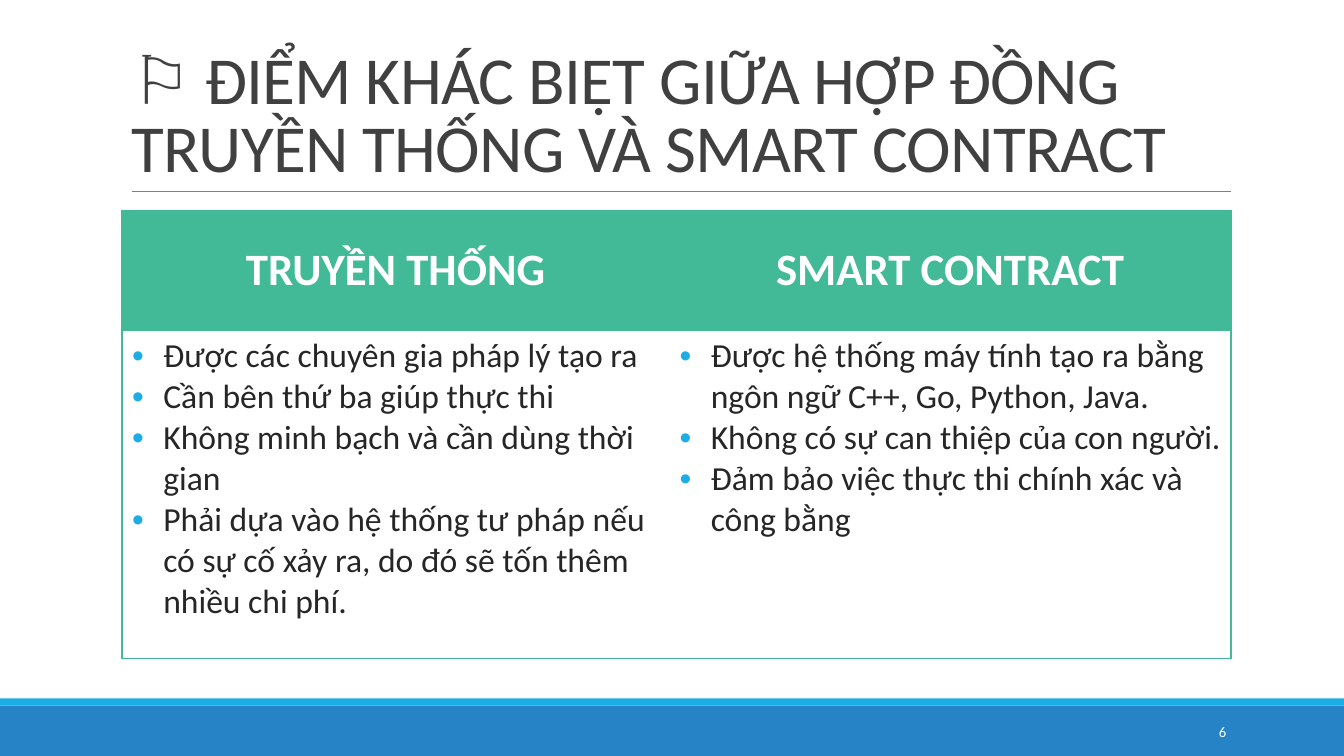
from lxml.etree import SubElement
from pptx import Presentation
from pptx.dml.color import RGBColor
from pptx.enum.shapes import MSO_CONNECTOR, MSO_SHAPE
from pptx.enum.text import MSO_ANCHOR, PP_ALIGN
from pptx.oxml.ns import qn
from pptx.util import Inches, Pt

GREEN = "42BA97"
COLUMNS = [
    ("TRUYỀN THỐNG", 5.43, [
        "Được các chuyên gia pháp lý tạo ra",
        "Cần bên thứ ba giúp thực thi",
        "Không minh bạch và cần dùng thời gian",
        "Phải dựa vào hệ thống tư pháp nếu có sự cố xảy ra, "
        "do đó sẽ tốn thêm nhiều chi phí.",
    ]),
    ("SMART CONTRACT", 5.57, [
        "Được hệ thống máy tính tạo ra bằng ngôn ngữ C++, Go, Python, Java.",
        "Không có sự can thiệp của con người.",
        "Đảm bảo việc thực thi chính xác và công bằng",
    ]),
]


def rgb(value):
    return RGBColor.from_string(value)


def style(p, size, color, bold=False):
    for r in p.runs:
        r.font.name = "Calibri"
        r.font.size = Pt(size)
        r.font.bold = bold
        r.font.color.rgb = rgb(color)


prs = Presentation()
prs.slide_width, prs.slide_height = Inches(13.33), Inches(7.5)
s = prs.slides.add_slide(prs.slide_layouts[5])

# Footer bands and title rule
for top, height, color in [(7, 0.5, "2683C6"), (6.93, 0.07, "1CADE4")]:
    band = s.shapes.add_shape(MSO_SHAPE.RECTANGLE, 0, Inches(top),
                              prs.slide_width, Inches(height))
    band.shadow.inherit = False
    band.fill.solid()
    band.fill.fore_color.rgb = rgb(color)
    band.line.fill.background()

rule = s.shapes.add_connector(MSO_CONNECTOR.STRAIGHT, Inches(1.31), Inches(1.9),
                              Inches(12.21), Inches(1.9))
rule.line.color.rgb = rgb("808080")
rule.line.width = Pt(0.5)
SubElement(rule._element.spPr, qn("a:effectLst"))

# Title
title = s.shapes.title
title.left, title.top = Inches(1.2), Inches(0.31)
title.width, title.height = Inches(11), Inches(1.59)
tf = title.text_frame
tf.text = "⚐ ĐIỂM KHÁC BIỆT GIỮA HỢP ĐỒNG TRUYỀN THỐNG VÀ SMART CONTRACT"
tf.word_wrap = True
tf.vertical_anchor = MSO_ANCHOR.BOTTOM
p = tf.paragraphs[0]
p.alignment = PP_ALIGN.LEFT
p.line_spacing = 0.85
style(p, 48, "404040")
p.runs[0].font._element.set("spc", "-50")

# Slide number
number = s.shapes.add_textbox(Inches(10.83), Inches(7.06), Inches(1.43), Inches(0.4))
tf = number.text_frame
tf.text = "6"
tf.word_wrap = True
tf.vertical_anchor = MSO_ANCHOR.MIDDLE
tf.paragraphs[0].alignment = PP_ALIGN.RIGHT
style(tf.paragraphs[0], 10.5, "FFFFFF")

# Comparison table
table = s.shapes.add_table(2, 2, Inches(1.21), Inches(2.09),
                           Inches(11), Inches(4.44)).table
table.horz_banding = False
table.rows[0].height, table.rows[1].height = Inches(1.19), Inches(3.25)

for col, (heading, width, points) in enumerate(COLUMNS):
    table.columns[col].width = Inches(width)
    header, body = table.cell(0, col), table.cell(1, col)
    outer_side = "lnL" if col == 0 else "lnR"

    for cell, fill in [(header, GREEN), (body, "FFFFFF")]:
        tcPr = cell._tc.get_or_add_tcPr()
        for side in ("lnL", "lnR", "lnT", "lnB"):
            ln = SubElement(tcPr, qn(f"a:{side}"), w=str(Pt(1)))
            if side in (outer_side, "lnT", "lnB"):
                SubElement(SubElement(ln, qn("a:solidFill")), qn("a:srgbClr"), val=GREEN)
            else:
                SubElement(ln, qn("a:noFill"))
        cell.fill.solid()
        cell.fill.fore_color.rgb = rgb(fill)

    header.text_frame.text = heading
    header.vertical_anchor = MSO_ANCHOR.MIDDLE
    header.text_frame.paragraphs[0].alignment = PP_ALIGN.CENTER
    style(header.text_frame.paragraphs[0], 32, "FFFFFF", bold=True)

    body.text_frame.text = "\n".join(points)
    body.vertical_anchor = MSO_ANCHOR.TOP
    for p in body.text_frame.paragraphs:
        style(p, 24, "262626")
        pPr = p._p.get_or_add_pPr()
        pPr.set("marL", str(Inches(0.31)))
        pPr.set("indent", str(-Inches(0.31)))
        SubElement(SubElement(pPr, qn("a:buClr")), qn("a:srgbClr"), val="1CADE4")
        SubElement(pPr, qn("a:buFont"), typeface="Arial")
        SubElement(pPr, qn("a:buChar"), char="•")

prs.save("out.pptx")
